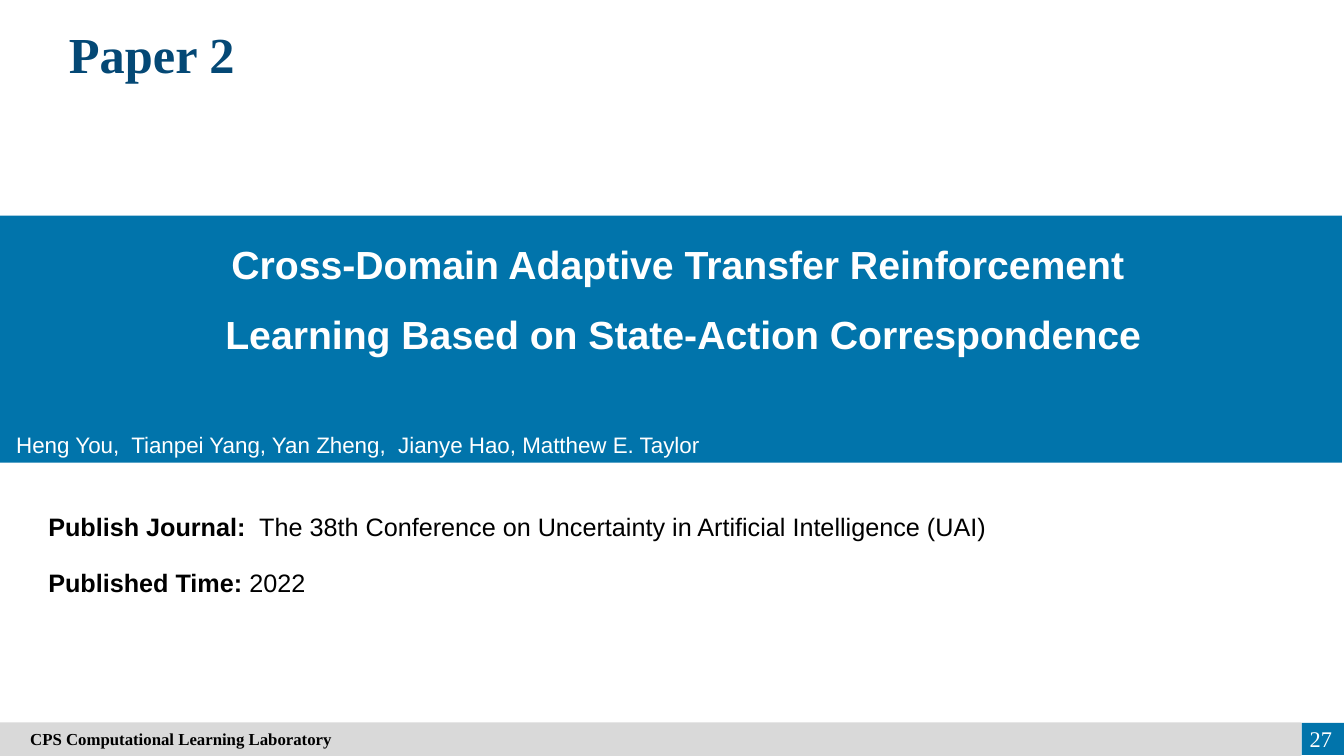
import pptx
import pptx.util
import pptx.dml.color
import pptx.enum.shapes
import pptx.enum.text

Pt = pptx.util.Pt
ALIGN = pptx.enum.text.PP_ALIGN
ANCHOR = pptx.enum.text.MSO_ANCHOR

BLUE, NAVY, GREY, WHITE, BLACK = "0174AB", "044875", "D9D9D9", "FFFFFF", "000000"
SERIF, SANS = "Times New Roman", "Arial"


def colour(value):
    """Turn a hex string into a colour."""
    return pptx.dml.color.RGBColor.from_string(value)


def apply(target, formats):
    """Set each attribute named in a dict of format values."""
    for attribute, value in formats.items():
        setattr(target, attribute, value)


def add_band(slide, left, top, width, height, fill):
    """Draw a plain filled rectangle."""
    band = slide.shapes.add_shape(
        pptx.enum.shapes.MSO_SHAPE.RECTANGLE, Pt(left), Pt(top), Pt(width), Pt(height))
    band.shadow.inherit = False
    band.fill.solid()
    band.fill.fore_color.rgb = colour(fill)
    band.line.fill.background()
    return band


def add_label(slide, left, top, width, height):
    """Add an empty text box."""
    return slide.shapes.add_textbox(Pt(left), Pt(top), Pt(width), Pt(height))


def write(holder, lines, size, ink, face, align=ALIGN.LEFT, spacing=1.0,
          anchor=ANCHOR.TOP, inset=7.2):
    """Write lines, each a list of (text, bold) pieces, into a shape."""
    frame = holder.text_frame
    apply(frame, {"word_wrap": True, "vertical_anchor": anchor, "margin_left": Pt(inset)})
    for index, pieces in enumerate(lines):
        line = frame.paragraphs[0] if index == 0 else frame.add_paragraph()
        apply(line, {"alignment": align, "line_spacing": spacing})
        for words, bold in pieces:
            piece = line.add_run()
            piece.text = words
            apply(piece.font, {"name": face, "size": Pt(size), "bold": bold})
            piece.font.color.rgb = colour(ink)
    return frame


def main():
    """Build the paper slide and save it."""
    deck = pptx.Presentation()
    apply(deck, {"slide_width": Pt(960), "slide_height": Pt(540)})
    slide = deck.slides.add_slide(deck.slide_layouts[6])

    add_band(slide, 0, 154, 958.5, 176.5, BLUE)
    heading = add_label(slide, 27.4, 13, 162, 51)
    write(heading, [[("Paper 2", True)]], 36, NAVY, SERIF, ALIGN.CENTER)

    add_band(slide, 929.7, 516.3, 30.3, 23, BLUE)
    footer = add_band(slide, 0, 516, 929.7, 24, GREY)
    write(footer, [[("CPS Computational Learning Laboratory", True)]],
          12, BLACK, SERIF, anchor=ANCHOR.MIDDLE, inset=21.6)
    page_number = add_label(slide, 913.5, 513.5, 45, 28.8)
    write(page_number, [[("27", False)]], 16, WHITE, SERIF, ALIGN.RIGHT, anchor=ANCHOR.MIDDLE)

    publication = [
        ("Publish Journal: ", " The 38th Conference on Uncertainty in Artificial Intelligence (UAI)"),
        ("Published Time:", " 2022"),
    ]
    for row, (term, detail) in enumerate(publication):
        entry = add_label(slide, 27.4, 362 + 40 * row, 689, 29)
        write(entry, [[(term, True), (detail, False)]], 18, BLACK, SANS)

    paper_title = add_label(slide, 3.6, 151.2, 961, 108.7)
    title_frame = write(paper_title, [
        [("Cross-Domain Adaptive Transfer Reinforcement", True)],
        [("Learning Based on State-Action Correspondence", True)],
    ], 28, WHITE, SANS, ALIGN.CENTER, 1.5)
    title_frame.paragraphs[1]._p.get_or_add_pPr().set("marL", str(Pt(7.8)))

    authors = add_label(slide, 0, 304.6, 653.8, 26.6)
    write(authors, [[("Heng You,  Tianpei Yang, Yan Zheng,  Jianye Hao, Matthew E. Taylor", False)]],
          16, WHITE, SANS, inset=11.6)

    deck.save("out.pptx")


if __name__ == "__main__":
    main()
